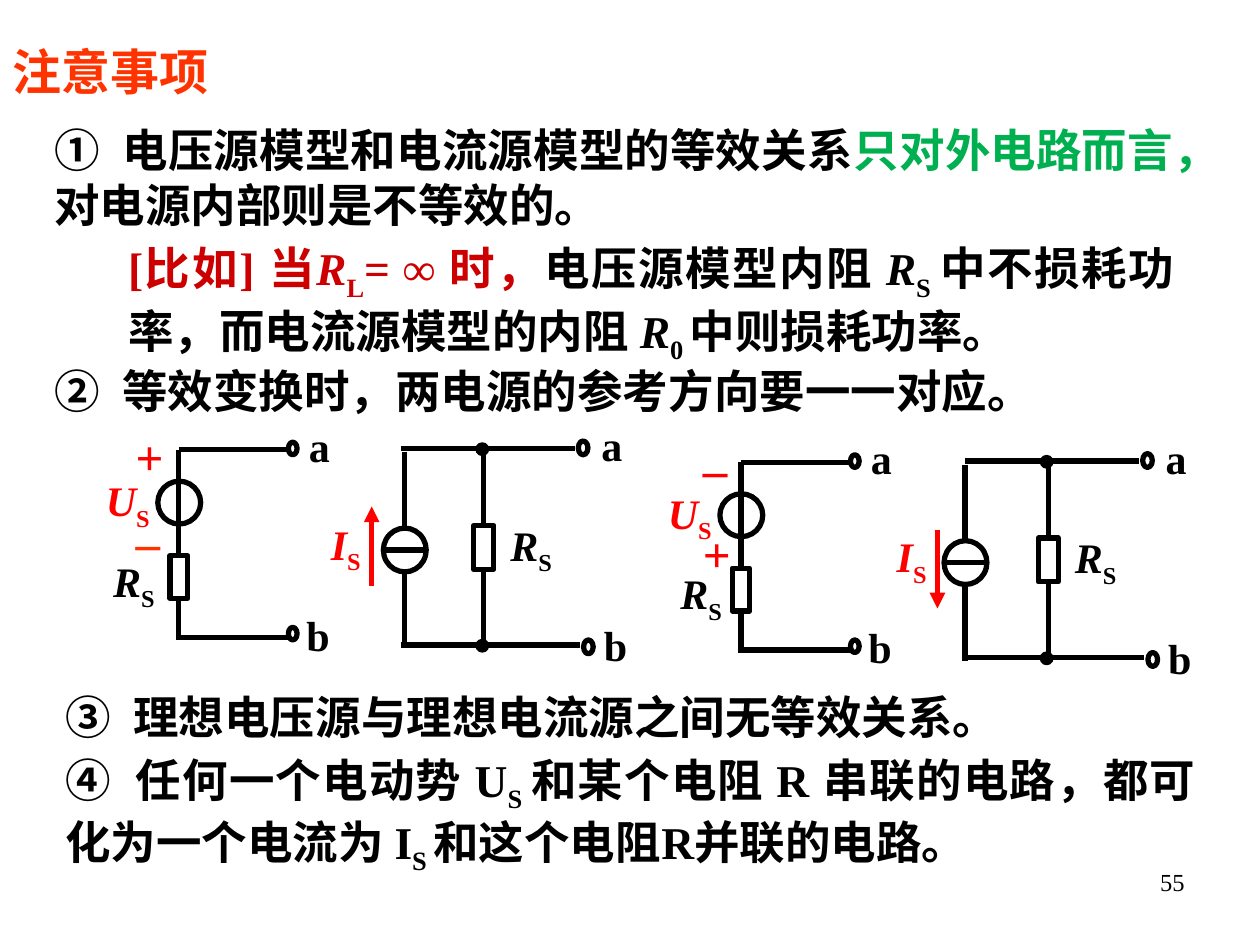
"""Build the slide of notes on equivalent voltage and current source models."""
from dataclasses import dataclass
from typing import NamedTuple

from lxml import etree
from pptx import Presentation
from pptx.dml.color import RGBColor
from pptx.enum.shapes import MSO_CONNECTOR, MSO_SHAPE
from pptx.enum.text import MSO_ANCHOR, PP_ALIGN
from pptx.oxml.ns import qn
from pptx.util import Pt

STRAIGHT = MSO_CONNECTOR.STRAIGHT
OVAL, RECTANGLE = MSO_SHAPE.OVAL, MSO_SHAPE.RECTANGLE
TOP, MIDDLE = MSO_ANCHOR.TOP, MSO_ANCHOR.MIDDLE
LEFT, CENTER, RIGHT, JUSTIFY = PP_ALIGN.LEFT, PP_ALIGN.CENTER, PP_ALIGN.RIGHT, PP_ALIGN.JUSTIFY
TOP_SITE, BOTTOM_SITE = 0, 2


@dataclass(frozen=True)
class Theme:
    font: str = "Times New Roman"
    black: str = "000000"
    red: str = "FF0000"
    orange: str = "FF3300"
    crimson: str = "CC0000"
    green: str = "00B050"
    title: float = 28
    body: float = 26
    label: float = 24
    number: float = 14
    wire: float = 3
    outline: float = 0.75


THEME = Theme()


class Run(NamedTuple):
    text: str
    color: str = THEME.black
    italic: bool = False
    subscript: bool = False


class Box(NamedTuple):
    left: float
    top: float
    width: float
    height: float

    def moved(self, x: float, y: float) -> "Box":
        return Box(self.left + x, self.top + y, self.width, self.height)


class Note(NamedTuple):
    box: Box
    runs: list[Run]


@dataclass(frozen=True)
class VoltageCircuit:
    x: float
    y: float
    label_shift: float
    polarity: list[list[Run]]


@dataclass(frozen=True)
class CurrentCircuit:
    x: float
    y: float
    source_gap: float
    arrow_gap: float
    arrow_start: float
    arrow_end: float


def symbol(letter: str, subscript: str, color: str = THEME.black) -> list[Run]:
    return [Run(letter, color, italic=True), Run(subscript, color, subscript=True)]


def add_text(slide, box: Box, paragraphs: list[list[Run]], size: float, align=LEFT,
             anchor=TOP, wrap: bool = True, bold: bool = True, gap: float = 0, tab: float = 0):
    frame = slide.shapes.add_textbox(*map(Pt, box)).text_frame
    frame.word_wrap, frame.vertical_anchor = wrap, anchor
    for index, runs in enumerate(paragraphs):
        paragraph = frame.add_paragraph() if index else frame.paragraphs[0]
        if tab:
            tabs = etree.SubElement(paragraph._p.get_or_add_pPr(), qn("a:tabLst"))
            etree.SubElement(tabs, qn("a:tab"), pos=str(Pt(tab)), algn="l")
        paragraph.alignment = align
        if index:
            paragraph.space_before = Pt(gap)
        for item in runs:
            run = paragraph.add_run()
            run.text = item.text
            formats = {"name": THEME.font, "size": Pt(size), "bold": bold, "italic": item.italic}
            for name, value in formats.items():
                setattr(run.font, name, value)
            run.font.color.rgb = RGBColor.from_string(item.color)
            if item.subscript:
                run._r.get_or_add_rPr().set("baseline", "-25000")


def add_label(slide, box: Box, runs: list[Run]):
    add_text(slide, box, [runs], THEME.label, CENTER, MIDDLE, wrap=False)


def add_outline(slide, kind, box: Box, filled: bool = False):
    shape = slide.shapes.add_shape(kind, *map(Pt, box))
    shape.shadow.inherit = False
    if filled:
        shape.fill.solid()
        shape.fill.fore_color.rgb = RGBColor.from_string(THEME.black)
    else:
        shape.fill.background()
    shape.line.color.rgb = RGBColor.from_string(THEME.black)
    shape.line.width = Pt(THEME.outline if filled else THEME.wire)
    return shape


def add_wire(slide, x1: float, y1: float, x2: float, y2: float,
             color: str = THEME.black, arrow: bool = False):
    wire = slide.shapes.add_connector(STRAIGHT, Pt(x1), Pt(y1), Pt(x2), Pt(y2))
    wire.line.color.rgb = RGBColor.from_string(color)
    wire.line.width = Pt(THEME.wire)
    if arrow:
        etree.SubElement(wire.line._get_or_add_ln(), qn("a:tailEnd"), type="triangle")
    etree.SubElement(wire._element.spPr, qn("a:effectLst"))
    return wire


def add_resistor(slide, x: float, box: Box, top: float, bottom: float):
    resistor = add_outline(slide, RECTANGLE, box)
    add_wire(slide, x, top, x, box.top).end_connect(resistor, TOP_SITE)
    add_wire(slide, x, bottom, x, box.top + box.height).end_connect(resistor, BOTTOM_SITE)


def draw_voltage_circuit(slide, circuit: VoltageCircuit):
    x, y, shift = circuit.x, circuit.y, circuit.label_shift
    add_outline(slide, OVAL, Box(-12, 18, 24.5, 24.5).moved(x, y))
    add_resistor(slide, x, Box(-5, 60.5, 10, 24.5).moved(x, y), y, y + 108.7)
    for wire_y, terminal_y in ((0, -4.3), (107.3, 101.5)):
        add_wire(slide, x, y + wire_y, x + 62.6, y + wire_y)
        add_outline(slide, OVAL, Box(62.6, terminal_y, 5, 7.2).moved(x, y))
    add_label(slide, Box(-47.6, 58.3, 44, 36.7).moved(x + shift, y), symbol("R", "S"))
    add_label(slide, Box(-49.7, 12.2, 41, 36.7).moved(x, y), symbol("U", "S", THEME.red))
    add_label(slide, Box(67, -20.9, 26.6, 36.7).moved(x, y), [Run("a")])
    add_label(slide, Box(65.5, 87.1, 28, 36.7).moved(x, y), [Run("b")])
    add_text(slide, Box(-31.8, -18, 20.2, 91.4).moved(x + shift, y), circuit.polarity,
             THEME.title, CENTER, MIDDLE, wrap=False, gap=15)


def draw_current_circuit(slide, circuit: CurrentCircuit):
    x, y = circuit.x, circuit.y
    source_x, arrow_x = x - circuit.source_gap, x - circuit.source_gap - circuit.arrow_gap
    add_outline(slide, OVAL, Box(-12, 45.5, 24.5, 25).moved(source_x, y))
    add_wire(slide, source_x - 12, y + 58, source_x + 12, y + 58)
    add_wire(slide, source_x, y + 2, source_x, y + 45.5)
    add_wire(slide, source_x, y + 70.5, source_x, y + 114)
    add_resistor(slide, x, Box(-5.75, 44, 11.5, 25).moved(x, y), y, y + 112.3)
    for wire_y, end, terminal_y in ((0, 52, -4.3), (112.3, 55, 109.4)):
        add_wire(slide, x - 47.5, y + wire_y, x + end, y + wire_y)
        add_outline(slide, OVAL, Box(end + 2, terminal_y, 5.5, 7.9).moved(x, y))
        add_outline(slide, OVAL, Box(-4.5, wire_y - 3.2, 7.2, 7.2).moved(x, y), filled=True)
    add_wire(slide, arrow_x, y + circuit.arrow_start, arrow_x, y + circuit.arrow_end,
             THEME.red, arrow=True)
    add_label(slide, Box(-41.8, 38.2, 54, 36).moved(arrow_x, y), symbol("I", "S", THEME.red))
    add_label(slide, Box(3, 38.9, 48.2, 36).moved(x, y), symbol("R", "S"))
    add_label(slide, Box(56.2, -20.2, 33.8, 36).moved(x, y), [Run("a")])
    add_label(slide, Box(60.8, 94.3, 28.8, 36).moved(x, y), [Run("b")])


TITLE = Note(Box(0, 20.2, 221.8, 41), [Run("注意事项", THEME.orange)])
NUMBER = Note(Box(516.2, 491.8, 167.8, 37.4), [Run("55")])
NOTES = [
    Note(Box(23.8, 66.2, 653.8, 69.8), [
        Run("①\t电压源模型和电流源模型的等效关系"), Run("只对外电路而言，", THEME.green),
        Run("对电源内部则是不等效的。")]),
    Note(Box(66.2, 133.9, 612, 69.8), [
        Run("[比如] 当", THEME.crimson), *symbol("R", "L", THEME.crimson),
        Run("= ∞ 时，", THEME.crimson), Run("电压源模型内阻 "), *symbol("R", "S "),
        Run("中不损耗功率，而电流源模型的内阻 "), *symbol("R", "0 "), Run("中则损耗功率。")]),
    Note(Box(23.8, 203.8, 671.8, 38.2), [Run("②\t等效变换时，两电源的参考方向要一一对应。")]),
    Note(Box(30.2, 390.2, 599.8, 38.2), [Run("③\t理想电压源与理想电流源之间无等效关系。")]),
    Note(Box(30.2, 426.2, 660.2, 69.8), [
        Run("④\t任何一个电动势 U"), Run("S ", subscript=True),
        Run("和某个电阻 R 串联的电路，都可化为一个电流为 I"), Run("S ", subscript=True),
        Run("和这个电阻R并联的电路。")]),
]
VOLTAGE_CIRCUITS = [
    VoltageCircuit(102.2, 257, 0, [[Run("+", THEME.red)], [Run("–", THEME.orange)]]),
    VoltageCircuit(423.4, 264.2, 2.9, [[Run("–", THEME.red)], [Run("+", THEME.red)]]),
]
CURRENT_CIRCUITS = [
    CurrentCircuit(276.5, 256.3, 45.4, 18.7, 78.5, 33.1),
    CurrentCircuit(599, 263.5, 47.5, 15.8, 39.6, 84.2),
]


def main():
    presentation = Presentation()
    presentation.slide_width, presentation.slide_height = Pt(720), Pt(540)
    slide = presentation.slides.add_slide(presentation.slide_layouts[6])
    add_text(slide, NUMBER.box, [NUMBER.runs], THEME.number, RIGHT, bold=False)
    for note in NOTES:
        add_text(slide, note.box, [note.runs], THEME.body, JUSTIFY, tab=39)
    for voltage, current in zip(VOLTAGE_CIRCUITS, CURRENT_CIRCUITS):
        draw_voltage_circuit(slide, voltage)
        draw_current_circuit(slide, current)
    add_text(slide, TITLE.box, [TITLE.runs], THEME.title)
    presentation.save("out.pptx")


if __name__ == "__main__":
    main()
